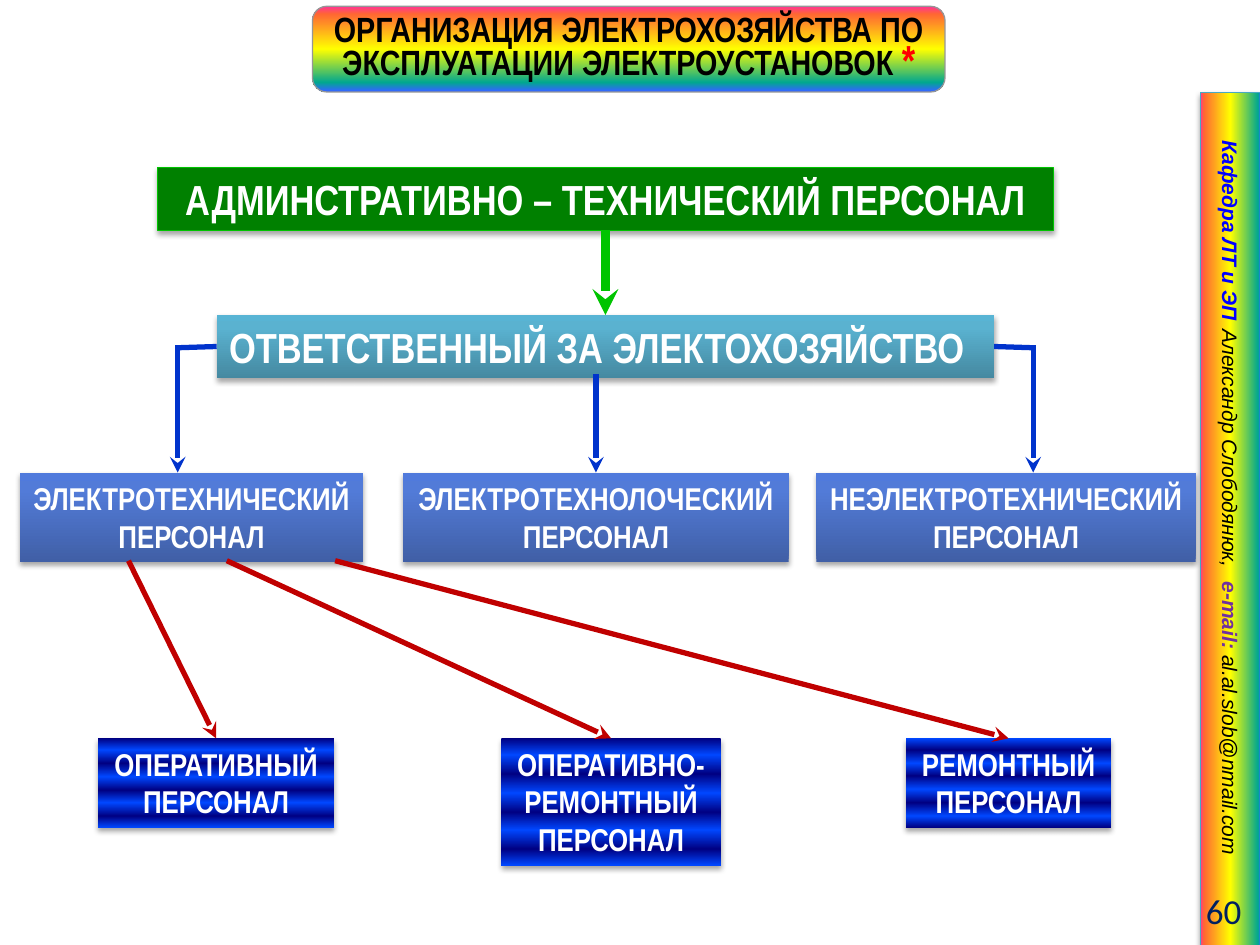
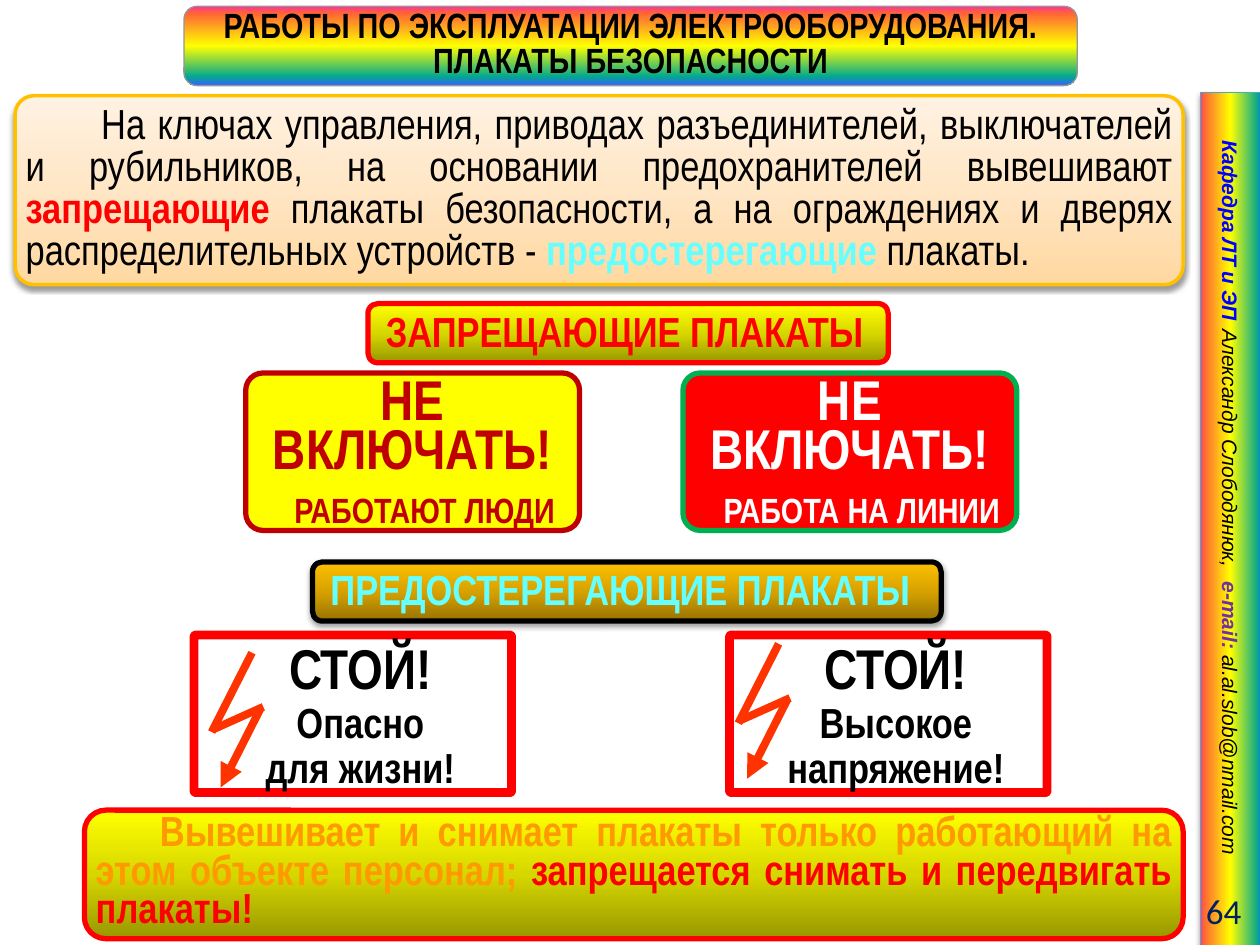
import pptx
import pptx.util
import pptx.dml.color
import pptx.enum.shapes
import pptx.enum.text
import pptx.oxml
import pptx.oxml.ns
from lxml import etree

Inches = pptx.util.Inches
Pt = pptx.util.Pt
qn = pptx.oxml.ns.qn
SHAPES = pptx.enum.shapes.MSO_SHAPE
ALIGN = pptx.enum.text.PP_ALIGN
ANCHOR = pptx.enum.text.MSO_ANCHOR

# Shared look
COLORS = {
    "black": "000000", "white": "FFFFFF", "red": "FF0000", "yellow": "FFFF00",
    "dark red": "C00000", "green": "008000", "bright green": "00C400",
    "poster green": "00B050", "arrow blue": "0033CC", "blue": "0000FF",
    "purple": "7030A0", "navy": "002060", "teal": "46AAC5", "gray": "969696",
    "orange": "FF9900", "amber": "FFC000", "cyan": "66FFFF", "bolt": "FF3300",
}
# Gradients: angle, then (position, colour) stops
GRADIENTS = {
    "band": (270, [(0, "FF3399"), (6, "FF6633"), (50, "FFFF00"), (96, "01A78F"), (100, "3366FF")]),
    "title": (90, [(0, "FF3399"), (9, "FF6633"), (50, "FFFF00"), (89, "01A78F"), (99, "3366FF")]),
    "aqua": (270, [(0, "4589A1"), (80, "5AB2D0"), (100, "58B4D4")]),
    "steel": (270, [(0, "405FA6"), (80, "527BD8"), (100, "507ADC")]),
    "stripes": (90, [(place, ("000082", "0047FF")[i % 2])
                     for i, place in enumerate((0, 13, 28, 43, 58, 72, 87, 100))]),
    "peach": (270, [(0, "FFD8A0"), (50, "FFE6C5"), (100, "FFF2E3")]),
    "lemon": (270, [(0, "979700"), (50, "D7D700"), (100, "FFFF00")]),
    "gold": (270, [(0, "977200"), (50, "D7A200"), (100, "FFC000")]),
}
GRADIENTS["stripes up"] = (270, GRADIENTS["stripes"][1])
SMALL_INSETS = (0.04,) * 4
DEFAULT_INSETS = (0.1, 0.05, 0.1, 0.05)

# Content: a paragraph is a string or a list of (text, format) spans
BAND_TEXT = [[
    ("Кафедра ЛТ и ЭП", {"color": "blue", "bold": True}),
    ("\tАлександр Слободянюк,", {}),
    ("\te-mail: ", {"color": "purple", "bold": True}),
    ("al.al.slob@nmail.com", {}),
]]
STAFF_TITLE = [[
    ("ОРГАНИЗАЦИЯ ЭЛЕКТРОХОЗЯЙСТВА ПО ЭКСПЛУАТАЦИИ ЭЛЕКТРОУСТАНОВОК ", {}),
    ("*", {"size": 24, "color": "red"}),
]]
# Staff boxes: name, place, fill, text
STAFF_GROUPS = [
    ("electrical", (0.16, 3.75, 2.72, 0.71), "steel", ["ЭЛЕКТРОТЕХНИЧЕСКИЙ", "ПЕРСОНАЛ"]),
    ("technological", (3.2, 3.75, 3.06, 0.71), "steel", ["ЭЛЕКТРОТЕХНОЛОЧЕСКИЙ", "ПЕРСОНАЛ"]),
    ("other", (6.48, 3.75, 3.01, 0.71), "steel", ["НЕЭЛЕКТРОТЕХНИЧЕСКИЙ", "ПЕРСОНАЛ"]),
    ("operating", (0.78, 5.86, 1.87, 0.71), "stripes", ["ОПЕРАТИВНЫЙ", "ПЕРСОНАЛ"]),
    ("mixed", (3.98, 5.86, 1.74, 1.01), "stripes", ["ОПЕРАТИВНО-", "РЕМОНТНЫЙ", "ПЕРСОНАЛ"]),
    ("repair", (7.19, 5.86, 1.63, 0.71), "stripes up", ["РЕМОНТНЫЙ", "ПЕРСОНАЛ"]),
]
ELECTRICAL_SPLIT = [("repair", 2.66), ("mixed", 1.8), ("operating", 1.02)]

SAFETY_TITLE = ["РАБОТЫ ПО ЭКСПЛУАТАЦИИ ЭЛЕКТРООБОРУДОВАНИЯ.", "ПЛАКАТЫ БЕЗОПАСНОСТИ"]
SAFETY_RULE = [[
    ("На ключах управления, приводах разъединителей, выключателей и рубильников, "
     "на основании предохранителей вывешивают ", {}),
    ("запрещающие ", {"color": "red", "bold": True}),
    ("плакаты безопасности, а на ограждениях и дверях распределительных устройств - ", {}),
    ("предостерегающие ", {"color": "cyan", "bold": True}),
    ("плакаты.", {}),
]]
REMOVAL_RULE = [[
    ("Вывешивает и снимает плакаты только работающий на этом объекте персонал; ", {"color": "orange"}),
    ("запрещается снимать и передвигать плакаты!", {}),
]]
# Poster headings: place, fill, line, shadow, text, text colour
HEADINGS = [
    ((2.92, 2.41, 4.13, 0.47), "lemon", "red", None, "ЗАПРЕЩАЮЩИЕ ПЛАКАТЫ", "red"),
    ((2.48, 4.46, 4.99, 0.47), "gold", "black", (38, 1.6), "ПРЕДОСТЕРЕГАЮЩИЕ ПЛАКАТЫ", "cyan"),
]
# Prohibiting posters: left, fill, line, text colour, reason
PROHIBITING = [
    (1.95, "yellow", "dark red", "dark red", "РАБОТАЮТ ЛЮДИ"),
    (5.42, "red", "poster green", "white", "РАБОТА НА ЛИНИИ"),
]
# Warning posters: left, start of the bolt, text lines
WARNING = [
    (1.54, (2, 5.18), ["Опасно", "для жизни!"]),
    (5.79, (6.18, 5.11), ["Высокое", "напряжение!"]),
]
BOLT = [((0, 0), (-0.32, 0.63), None),
        ((-0.31, 0.61), (0.09, 0.43), None),
        ((0.07, 0.44), (-0.25, 1.07), "triangle")]


def rgb(name):
    return pptx.dml.color.RGBColor.from_string(COLORS[name])


def write_text(shape, paragraphs, *, size=18, color="white", bold=True, italic=False,
               font="Arial Narrow", align=ALIGN.CENTER, anchor=ANCHOR.TOP, spacing=None,
               margin=0, indent=0, insets=DEFAULT_INSETS, wrap=True):
    frame = shape.text_frame
    frame.word_wrap = wrap
    frame.vertical_anchor = anchor
    frame.margin_left, frame.margin_top, frame.margin_right, frame.margin_bottom = map(Inches, insets)
    for number, content in enumerate(paragraphs):
        para = frame.add_paragraph() if number else frame.paragraphs[0]
        para.alignment = align
        if spacing:
            para.line_spacing = Pt(spacing)
        properties = para._p.get_or_add_pPr()
        properties.set("marL", str(Inches(margin)))
        properties.set("indent", str(Inches(indent)))
        for text, changes in [(content, {})] if isinstance(content, str) else content:
            span = para.add_run()
            span.text = text
            span.font.name = font
            span.font.size = Pt(changes.get("size", size))
            span.font.bold = changes.get("bold", bold)
            span.font.italic = italic
            span.font.color.rgb = rgb(changes.get("color", color))


def paint(shape, fill):
    if fill is None:
        shape.fill.background()
    elif fill in GRADIENTS:
        angle, stops = GRADIENTS[fill]
        shape.fill.gradient()
        shape.fill.gradient_angle = 360 - angle
        stop_list = shape._element.spPr.find(".//" + qn("a:gsLst"))
        for old in list(stop_list):
            stop_list.remove(old)
        for place, color in stops:
            stop = etree.SubElement(stop_list, qn("a:gs"), pos=str(place * 1000))
            etree.SubElement(stop, qn("a:srgbClr"), val=color)
    else:
        shape.fill.solid()
        shape.fill.fore_color.rgb = rgb(fill)


def add_box(shapes, place, *, fill=None, line=None, width=0.75, shadow=None, rounding=None, rounded=False):
    kind = SHAPES.ROUNDED_RECTANGLE if rounded else SHAPES.RECTANGLE
    box = shapes.add_shape(kind, *map(Inches, place))
    if rounding is not None:
        box.adjustments[0] = rounding
    paint(box, fill)
    if line:
        box.line.color.rgb = rgb(line)
        box.line.width = Pt(width)
    else:
        box.line.fill.background()
    box.shadow.inherit = False
    if shadow:
        opacity, distance = shadow
        effects = box._element.spPr.find(qn("a:effectLst"))
        outer = etree.SubElement(effects, qn("a:outerShdw"), blurRad=str(Pt(3.1)),
                                 dist=str(Pt(distance)), dir="5400000", rotWithShape="0")
        shade = etree.SubElement(outer, qn("a:srgbClr"), val=COLORS["black"])
        etree.SubElement(shade, qn("a:alpha"), val=str(opacity * 1000))
    return box


def add_line(shapes, start, end, *, color, width=3, head="stealth", begin=None, finish=None):
    line = shapes.add_connector(pptx.enum.shapes.MSO_CONNECTOR.STRAIGHT, *map(Inches, start + end))
    if begin:
        line.begin_connect(*begin)
    if finish:
        line.end_connect(*finish)
    line.line.color.rgb = rgb(color)
    line.line.width = Pt(width)
    properties = line._element.spPr
    if head:
        etree.SubElement(properties.find(qn("a:ln")), qn("a:tailEnd"), type=head)
    etree.SubElement(properties, qn("a:effectLst"))


def add_page(deck, number):
    page = deck.slides.add_slide(deck.slide_layouts[6])
    # Side band
    band = add_box(page.shapes, (6.38, 3.88, 6.77, 0.48), fill="band", line="teal", shadow=(38, 1.6))
    band.rotation = 90
    write_text(band, BAND_TEXT, size=12, color="black", bold=False, italic=True, font="Arial",
               align=ALIGN.LEFT, anchor=ANCHOR.MIDDLE, insets=(0.38, 0.05, 0, 0.05))
    tabs = etree.SubElement(band.text_frame.paragraphs[0]._p.get_or_add_pPr(), qn("a:tabLst"))
    for stop in (1.85, 3.84):
        etree.SubElement(tabs, qn("a:tab"), pos=str(Inches(stop)), algn="l")
    # Page number
    box = page.shapes.add_textbox(*map(Inches, (8.86, 7.03, 1.09, 0.4)))
    write_text(box, [number], size=20, color="navy", bold=False, font="Calibri",
               align=ALIGN.RIGHT, anchor=ANCHOR.MIDDLE)
    return page


def add_title(page, place, paragraphs):
    title = add_box(page.shapes, place, fill="title", line="gray", rounded=True)
    write_text(title, paragraphs, size=20, color="black", spacing=20,
               anchor=ANCHOR.MIDDLE, insets=SMALL_INSETS)


def build_staff_page(deck):
    page = add_page(deck, "60")
    shapes = page.shapes
    shadow = (35, 1.8)

    # Boxes
    managers = add_box(shapes, (1.25, 1.33, 7.11, 0.5), fill="green", line="bright green", shadow=shadow)
    write_text(managers, ["АДМИНСТРАТИВНО – ТЕХНИЧЕСКИЙ ПЕРСОНАЛ"], size=24)
    responsible = add_box(shapes, (1.72, 2.5, 6.17, 0.5), fill="aqua", shadow=shadow)
    write_text(responsible, ["ОТВЕТСТВЕННЫЙ ЗА ЭЛЕКТОХОЗЯЙСТВО"], size=24, align=ALIGN.LEFT, wrap=False)
    staff = {}
    for name, place, fill, lines in STAFF_GROUPS:
        staff[name] = add_box(shapes, place, fill=fill, shadow=shadow)
        write_text(staff[name], lines, wrap=False)

    # Arrows
    for name, left in ELECTRICAL_SPLIT:
        add_line(shapes, (left, 4.45), (left, 5.86), color="dark red", finish=(staff[name], 0))
    add_line(shapes, (4.73, 2.97), (4.73, 3.75), color="arrow blue", finish=(staff["technological"], 0))
    for side, edge, corner in ((1, 1.72, 1.41), (3, 7.89, 8.2)):
        add_line(shapes, (edge, 2.75), (corner, 2.76), color="arrow blue", head=None,
                 begin=(responsible, side))
        add_line(shapes, (corner, 2.74), (corner, 3.75), color="arrow blue")
    add_line(shapes, (4.8, 1.83), (4.8, 2.5), color="bright green", width=5,
             begin=(managers, 2), finish=(responsible, 0))
    add_title(page, (2.48, 0.05, 5.02, 0.68), STAFF_TITLE)


def build_safety_page(deck):
    page = add_page(deck, "64")
    shapes = page.shapes
    add_title(page, (1.46, 0.05, 7.09, 0.63), SAFETY_TITLE)

    # Rules
    removal = add_box(shapes, (0.67, 6.43, 8.72, 1.02), fill="lemon", line="red", width=3, rounded=True)
    write_text(removal, REMOVAL_RULE, size=24, color="red", align=ALIGN.JUSTIFY, anchor=ANCHOR.MIDDLE,
               spacing=22, indent=0.51, insets=SMALL_INSETS)
    rule = add_box(shapes, (0.12, 0.76, 9.27, 1.5), fill="peach", line="amber", width=2,
                   shadow=(38, 1.6), rounded=True, rounding=0.1)
    write_text(rule, SAFETY_RULE, size=24, color="black", bold=False, align=ALIGN.JUSTIFY,
               anchor=ANCHOR.MIDDLE, spacing=24, indent=0.6, insets=SMALL_INSETS)

    # Headings
    for place, fill, line, shadow, text, color in HEADINGS:
        heading = add_box(shapes, place, fill=fill, line=line, width=3, shadow=shadow, rounded=True)
        write_text(heading, [text], size=24, color=color, align=ALIGN.LEFT, anchor=ANCHOR.MIDDLE,
                   spacing=26, margin=0.08, insets=SMALL_INSETS)

    # Prohibiting posters
    for left, fill, line, color, reason in PROHIBITING:
        poster = add_box(shapes, (left, 2.96, 2.65, 1.25), fill=fill, line=line, width=3,
                         rounded=True, rounding=0.11)
        write_text(poster, [[("НЕ ВКЛЮЧАТЬ!", {"size": 32})], reason], size=20, color=color,
                   spacing=28, insets=SMALL_INSETS)
        poster.text_frame.paragraphs[1]._p.pPr.set("marL", str(Inches(0.19)))

    # Warning posters
    for left, (bolt_left, bolt_top), lines in WARNING:
        group = shapes.add_group_shape().shapes
        poster = add_box(group, (left, 5.04, 2.52, 1.25), line="red", width=5, rounded=True, rounding=0.01)
        write_text(poster, [[("СТОЙ!", {"size": 32})], *lines], size=24, color="black",
                   spacing=26, insets=(0.12, 0.16, 0, 0.16))
        for start, end, head in BOLT:
            add_line(group, (bolt_left + start[0], bolt_top + start[1]),
                     (bolt_left + end[0], bolt_top + end[1]), color="bolt", width=4.5, head=head)


def main():
    deck = pptx.Presentation()
    deck.slide_width, deck.slide_height = Inches(10), Inches(7.5)
    build_staff_page(deck)
    build_safety_page(deck)
    deck.save("out.pptx")


if __name__ == "__main__":
    main()
